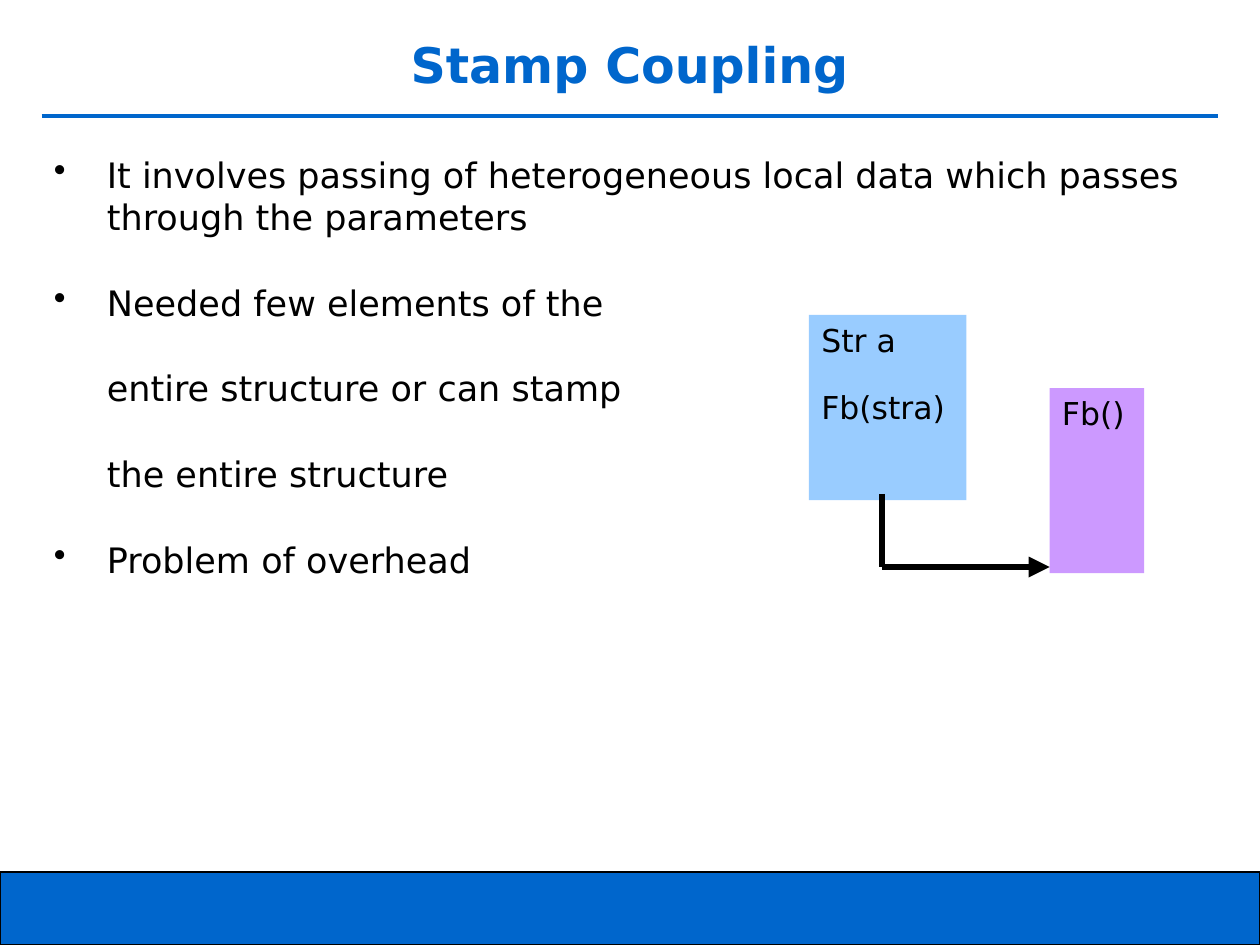
from dataclasses import dataclass

from lxml.etree import SubElement
from pptx import Presentation
from pptx.dml.color import RGBColor
from pptx.enum.shapes import MSO_CONNECTOR, MSO_SHAPE
from pptx.enum.text import MSO_ANCHOR, PP_ALIGN
from pptx.oxml.ns import qn
from pptx.slide import Slide
from pptx.text.text import TextFrame
from pptx.util import Inches, Pt

FONT = "DejaVu Sans"
BLUE = RGBColor(0x00, 0x66, 0xCC)
SKY = RGBColor(0x99, 0xCC, 0xFF)
LILAC = RGBColor(0xCC, 0x99, 0xFF)
BLACK = RGBColor(0x00, 0x00, 0x00)
HANG = Inches(0.42)


@dataclass
class Module:
    left: float
    top: float
    width: float
    color: RGBColor
    lines: list[str]


@dataclass
class Line:
    start: tuple[float, float]
    end: tuple[float, float]
    color: RGBColor
    weight: float
    arrow: bool = False


@dataclass
class Point:
    text: str
    bulleted: bool = True


MODULES = [
    Module(6.42, 2.5, 1.25, SKY, ["Str a", "Fb(stra)"]),
    Module(8.33, 3.08, 0.75, LILAC, ["Fb()"]),
]
MODULE_HEIGHT = 1.47

TITLE_RULE = Line((0.33, 0.92), (9.67, 0.92), BLUE, 2.25)
CALL_PATH = [
    Line((7, 3.92), (7, 4.5), BLACK, 4),
    Line((7, 4.5), (8.33, 4.5), BLACK, 4, arrow=True),
]

POINTS = [
    Point("It involves passing of heterogeneous local data which passes "
          "through the parameters"),
    Point("Needed few elements of the"),
    Point("entire structure or can stamp", bulleted=False),
    Point("the entire structure", bulleted=False),
    Point("Problem of overhead"),
]


def write_lines(tf: TextFrame, lines: list[str], size: float, color: RGBColor,
                before: float = 0, after: float = 0, bold: bool = False) -> None:
    tf.word_wrap = True
    tf.text = "\n".join(lines)
    for i, p in enumerate(tf.paragraphs):
        p.alignment = PP_ALIGN.LEFT
        p.space_before = Pt(before if i else 0)
        p.space_after = Pt(after)
        for r in p.runs:
            r.font.name = FONT
            r.font.size = Pt(size)
            r.font.bold = bold
            r.font.color.rgb = color


def add_text(s: Slide, left: float, top: float, width: float, height: float) -> TextFrame:
    return s.shapes.add_textbox(
        Inches(left), Inches(top), Inches(width), Inches(height)).text_frame


def add_rectangle(s: Slide, left: float, top: float, width: float, height: float,
                  color: RGBColor):
    sp = s.shapes.add_shape(
        MSO_SHAPE.RECTANGLE, Inches(left), Inches(top), Inches(width), Inches(height))
    sp.shadow.inherit = False
    sp.fill.solid()
    sp.fill.fore_color.rgb = color
    sp.line.fill.background()
    return sp


def add_line(s: Slide, line: Line) -> None:
    ends = [Inches(v) for v in (*line.start, *line.end)]
    cxn = s.shapes.add_connector(MSO_CONNECTOR.STRAIGHT, *ends)
    cxn.line.color.rgb = line.color
    cxn.line.width = Pt(line.weight)
    if line.arrow:
        SubElement(cxn.line._get_or_add_ln(), qn("a:tailEnd"), type="triangle")
    SubElement(cxn._element.spPr, qn("a:effectLst"))


def add_points(s: Slide, points: list[Point]) -> None:
    tf = add_text(s, 0.33, 1.17, 9.33, 5.58)
    write_lines(tf, [point.text for point in points], 20, BLACK, 18.7, 6.2)
    for p, point in zip(tf.paragraphs, points):
        pPr = p._p.get_or_add_pPr()
        pPr.set("marL", str(HANG))
        pPr.set("indent", str(-HANG if point.bulleted else 0))
        if point.bulleted:
            SubElement(pPr, qn("a:buChar"), char="•")


def add_module(s: Slide, module: Module) -> None:
    sp = add_rectangle(
        s, module.left, module.top, module.width, MODULE_HEIGHT, module.color)
    tf = sp.text_frame
    tf.vertical_anchor = MSO_ANCHOR.TOP
    write_lines(tf, module.lines, 18, BLACK, 11.2, 5.6)


def main() -> None:
    prs = Presentation()
    prs.slide_width = Inches(10)
    prs.slide_height = Inches(7.5)
    s = prs.slides.add_slide(prs.slide_layouts[6])

    footer = add_rectangle(s, 0, 6.92, 10, 0.58, BLUE)
    footer.line.color.rgb = BLACK
    footer.line.width = Pt(0.75)
    add_line(s, TITLE_RULE)

    title = add_text(s, 0.33, 0.17, 9.33, 0.67)
    title.vertical_anchor = MSO_ANCHOR.MIDDLE
    write_lines(title, ["Stamp Coupling"], 28, BLUE, bold=True)
    title.paragraphs[0].alignment = PP_ALIGN.CENTER

    add_points(s, POINTS)
    for module in MODULES:
        add_module(s, module)
    for line in CALL_PATH:
        add_line(s, line)
    prs.save("out.pptx")


if __name__ == "__main__":
    main()
